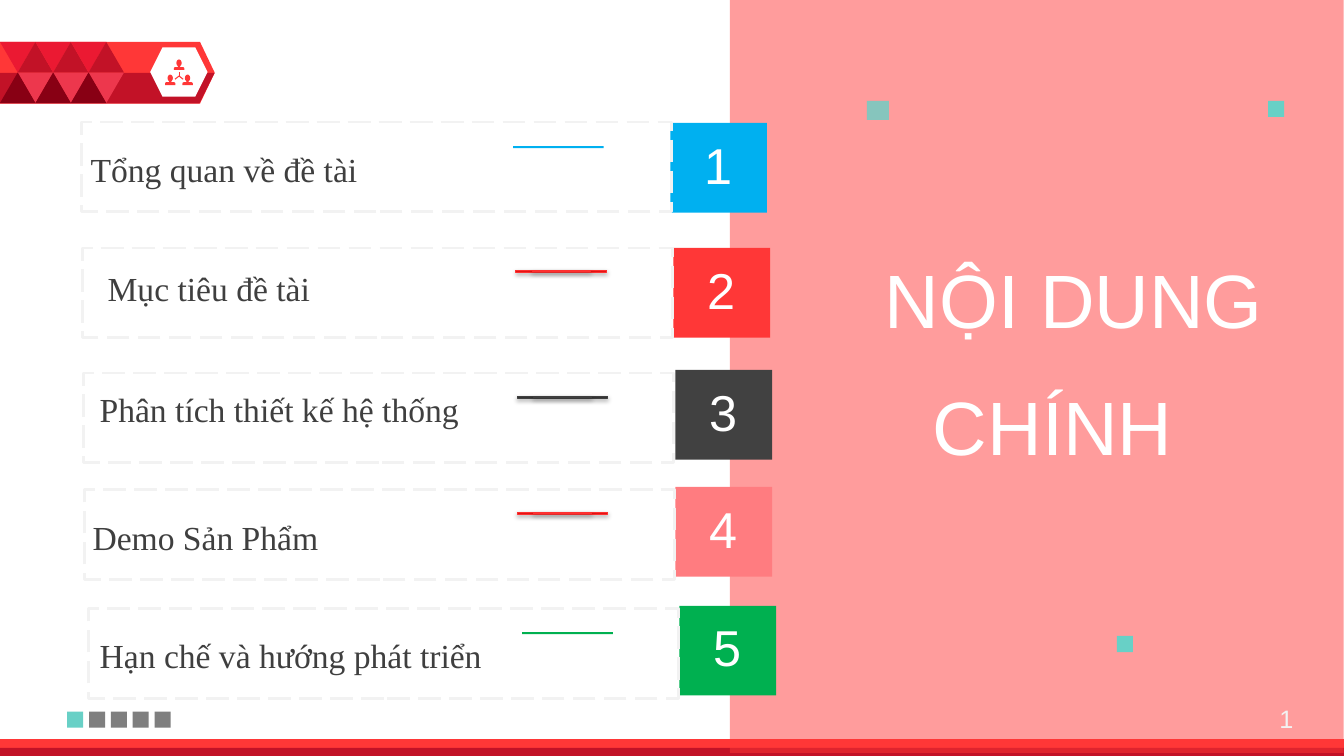
from dataclasses import dataclass
from typing import Optional

from lxml.etree import SubElement
from pptx import Presentation
from pptx.dml.color import RGBColor
from pptx.enum.dml import MSO_LINE
from pptx.enum.shapes import MSO_CONNECTOR, MSO_SHAPE
from pptx.enum.text import MSO_ANCHOR, PP_ALIGN
from pptx.oxml.ns import qn
from pptx.util import Pt

WHITE = RGBColor(0xFF, 0xFF, 0xFF)
PALE = RGBColor(0xF2, 0xF2, 0xF2)
GRAY = RGBColor(0x7F, 0x7F, 0x7F)
INK = RGBColor(0x3F, 0x3F, 0x3F)
RED = RGBColor(0xFF, 0x37, 0x37)
DARK_RED = RGBColor(0xC2, 0x12, 0x27)
CRIMSON = RGBColor(0xEB, 0x19, 0x32)
ROSE = RGBColor(0xED, 0x37, 0x4D)
MAROON = RGBColor(0x88, 0x00, 0x14)
TEAL = RGBColor(0x68, 0xD0, 0xC6)
BLUE = RGBColor(0x00, 0xB0, 0xF0)
CHARCOAL = RGBColor(0x41, 0x41, 0x41)
SALMON = RGBColor(0xFF, 0x7C, 0x80)
GREEN = RGBColor(0x00, 0xB0, 0x50)


@dataclass
class Gradient:
    start: RGBColor
    end: RGBColor
    outline: RGBColor


@dataclass
class Topic:
    label: str
    color: RGBColor
    frame: tuple[float, float]
    badge: tuple[float, float]
    text: tuple[float, float]
    bar: tuple[float, float]  # left end and middle height
    gradient: Optional[Gradient] = None


@dataclass
class Square:
    x: float
    y: float
    w: float = 11.5
    h: float = 11.5
    color: RGBColor = TEAL
    alpha: int = 100


RED_BAR = Gradient(RGBColor(0xD1, 0x11, 0x11), RGBColor(0xFF, 0x18, 0x18), RGBColor(0xFD, 0x30, 0x30))
GRAY_BAR = Gradient(RGBColor(0x2F, 0x2F, 0x2F), RGBColor(0x3E, 0x3E, 0x3E), INK)

TOPICS = [
    Topic("Tổng quan về đề tài", BLUE, (58.3, 87.1), (478.8, 87.8), (57.6, 103), (366.5, 105.1)),
    Topic("Mục tiêu đề tài", RED, (59, 177.1), (481, 177.1), (69.8, 187.9), (368.6, 193.7), RED_BAR),
    Topic("Phân tích thiết kế hệ thống", CHARCOAL, (59.8, 266.4), (482.4, 264.2), (64.1, 274.3),
          (369.4, 283.7), GRAY_BAR),
    Topic("Demo Sản Phẩm", SALMON, (60.5, 349.9), (482.4, 347.8), (59, 365.8), (369.4, 366.5), RED_BAR),
    Topic("Hạn chế và hướng phát triển", GREEN, (63.4, 434.9), (485.3, 432.7), (64.1, 450), (373, 452.2)),
]
SQUARES = [Square(619.2, 72, 15.8, 13.7, alpha=80), Square(797.8, 454.3), Square(905.8, 72)]
SQUARES += [Square(48 + 15.6 * i, 508.3, color=GRAY if i else TEAL) for i in range(5)]


def paint(sp, color: Optional[RGBColor], alpha: int = 100) -> None:
    """Flat fill (or none) without outline and shadow."""
    sp.shadow.inherit = False
    sp.line.fill.background()
    if color is None:
        sp.fill.background()
        return
    sp.fill.solid()
    sp.fill.fore_color.rgb = color
    if alpha < 100:
        clr = sp._element.spPr.find(qn("a:solidFill"))[0]
        SubElement(clr, qn("a:alpha"), val=str(alpha * 1000))


def add_shape(s, kind: MSO_SHAPE, x: float, y: float, w: float, h: float,
              color: Optional[RGBColor], alpha: int = 100):
    sp = s.shapes.add_shape(kind, Pt(x), Pt(y), Pt(w), Pt(h))
    paint(sp, color, alpha)
    return sp


def write(sp, text: str, size: float, color: RGBColor, align: PP_ALIGN, font: str = "Arial") -> None:
    tf = sp.text_frame
    tf.word_wrap = True
    tf.text = text
    p = tf.paragraphs[0]
    p.alignment = align
    p.font.size = Pt(size)
    p.font.name = font
    p.font.color.rgb = color


def add_text(s, x: float, y: float, w: float, h: float, text: str, size: float, color: RGBColor,
             align: PP_ALIGN = PP_ALIGN.RIGHT, font: str = "Arial") -> None:
    write(s.shapes.add_textbox(Pt(x), Pt(y), Pt(w), Pt(h)), text, size, color, align, font)


def add_people_icon(s) -> None:
    """Three people joined by spokes."""
    for x, y in ((127.9, 42.5), (121.6, 53.3), (134, 53.3)):
        add_shape(s, MSO_SHAPE.OVAL, x - 1.9, y, 3.8, 5, RED)
        add_shape(s, MSO_SHAPE.RECTANGLE, x - 0.8, y + 4, 1.6, 2, RED)
        body = add_shape(s, MSO_SHAPE.ROUND_2_SAME_RECTANGLE, x - 3.7, y + 5.4, 7.4, 2, RED)
        body.adjustments[0] = 0.5
    for x, y in ((127.9, 51.3), (125, 56.6), (130.8, 56.6)):
        spoke = s.shapes.add_connector(MSO_CONNECTOR.STRAIGHT, Pt(127.9), Pt(54.3), Pt(x), Pt(y))
        spoke.line.color.rgb = RED
        spoke.line.width = Pt(0.75)
        SubElement(spoke._element.spPr, qn("a:effectLst"))


def add_ribbon(s) -> None:
    add_shape(s, MSO_SHAPE.PENTAGON, 0, 30, 153.4, 44, RED).adjustments[0] = 0.239
    fb = s.shapes.build_freeform(Pt(0), Pt(52))
    fb.add_line_segments([(Pt(x), Pt(y)) for x, y in ((153.4, 52), (142.5, 73.8), (0, 73.8))])
    paint(fb.convert_to_shape(), DARK_RED)
    add_shape(s, MSO_SHAPE.HEXAGON, 107.3, 33.8, 41, 35.3, WHITE).adjustments[0] = 0.25
    add_people_icon(s)
    side, height = 25.3, 21.8
    for i in range(3):
        for shift, y, color, turn in ((0, 30, CRIMSON, 180), (0.5, 30, DARK_RED, 0),
                                      (0.5, 51.8, ROSE, 180), (0, 51.8, MAROON, 0)):
            sp = add_shape(s, MSO_SHAPE.ISOSCELES_TRIANGLE, (i + shift) * side, y, side, height, color)
            sp.rotation = turn


def add_bar(s, topic: Topic) -> None:
    """Thin accent line with a shorter one on its middle."""
    x, middle = topic.bar
    for w, h in ((64.8, 1.4), (41.8, 0.7)):
        sp = add_shape(s, MSO_SHAPE.RECTANGLE, x + (64.8 - w) / 2, middle - h / 2, w, h, topic.color)
        if topic.gradient is None:
            continue
        sp.fill.gradient()
        sp.fill.gradient_angle = 90
        first, last = sp.fill.gradient_stops
        first.color.rgb = topic.gradient.start
        last.color.rgb = topic.gradient.end
        last.position = 0.8
        sp.line.color.rgb = topic.gradient.outline
        sp.line.width = Pt(0.75)
        effects = sp._element.spPr.find(qn("a:effectLst"))
        shadow = SubElement(effects, qn("a:outerShdw"), blurRad=str(Pt(3.1)), dist=str(Pt(1.8)),
                            dir="5400000", rotWithShape="0")
        clr = SubElement(shadow, qn("a:srgbClr"), val="000000")
        SubElement(clr, qn("a:alpha"), val="35000")


def add_topic(s, number: int, topic: Topic) -> None:
    badge = add_shape(s, MSO_SHAPE.RECTANGLE, *topic.badge, 69.1, 64.1, topic.color)
    write(badge, str(number), 36, WHITE, PP_ALIGN.CENTER)
    badge.text_frame.vertical_anchor = MSO_ANCHOR.MIDDLE
    badge.text_frame.margin_bottom = Pt(9)
    add_bar(s, topic)
    frame = add_shape(s, MSO_SHAPE.RECTANGLE, *topic.frame, 421.2, 64.1, None)
    frame.line.color.rgb = PALE
    frame.line.width = Pt(2)
    frame.line.dash_style = MSO_LINE.LONG_DASH
    add_text(s, *topic.text, 382.3, 36, topic.label, 24, INK, PP_ALIGN.LEFT, "Times New Roman")


def add_heading(s) -> None:
    add_shape(s, MSO_SHAPE.RECTANGLE, 521.3, -2.2, 438.5, 540, RED, 49)
    title = s.shapes.title
    s.shapes._spTree.append(title._element)  # in front of the panel
    title.left, title.top, title.width, title.height = Pt(429.1), Pt(177.1), Pt(480.2), Pt(72.7)
    write(title, "NỘI DUNG", 54, WHITE, PP_ALIGN.RIGHT)
    title.text_frame.vertical_anchor = MSO_ANCHOR.TOP
    add_text(s, 364.3, 267.8, 480.2, 72.7, "CHÍNH", 54, WHITE)


def main() -> None:
    prs = Presentation()
    prs.slide_width, prs.slide_height = Pt(960), Pt(540)
    s = prs.slides.add_slide(prs.slide_layouts[5])
    add_ribbon(s)
    add_shape(s, MSO_SHAPE.RECTANGLE, 0, 528, 960, 11.5, RED)
    add_shape(s, MSO_SHAPE.RECTANGLE, 0, 534.2, 960, 5.8, DARK_RED)
    add_heading(s)
    for q in SQUARES:
        add_shape(s, MSO_SHAPE.RECTANGLE, q.x, q.y, q.w, q.h, q.color, q.alpha)
    for number, topic in enumerate(TOPICS, 1):
        add_topic(s, number, topic)
    add_text(s, 888.5, 499, 42.5, 28.8, "1", 18, PALE)
    prs.save("out.pptx")


if __name__ == "__main__":
    main()
